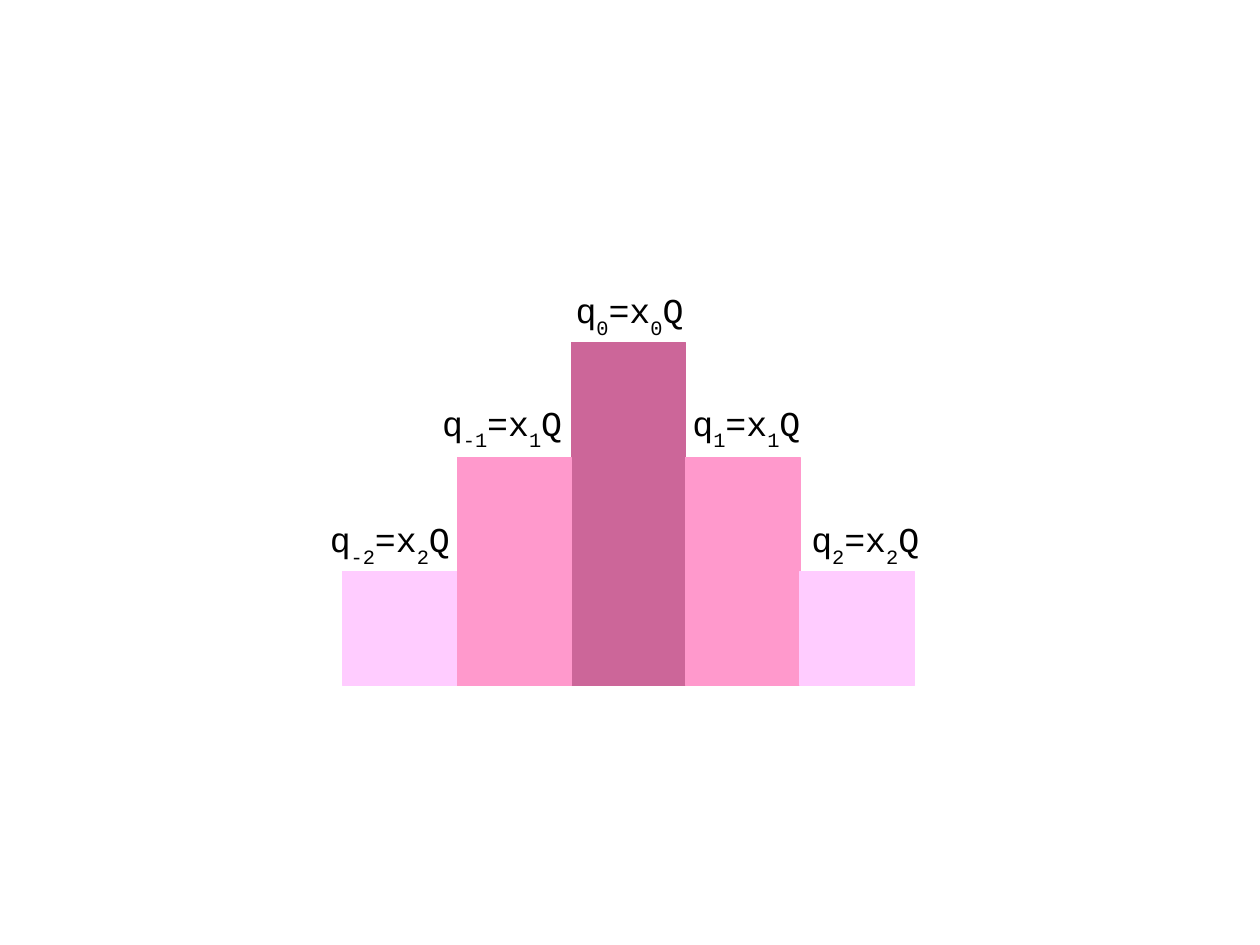
from dataclasses import dataclass

from pptx import Presentation
from pptx.dml.color import RGBColor
from pptx.enum.shapes import MSO_SHAPE
from pptx.enum.text import MSO_AUTO_SIZE
from pptx.slide import Slide
from pptx.util import Pt

UNIT = 72
CENTER_LEFT = 5 * UNIT
BASELINE = 6 * UNIT
COLORS = ["CC6699", "FF99CC", "FFCCFF"]


@dataclass
class Bar:
    """One bar of the symmetric distribution and the corner of its label."""

    index: int
    label_left: float
    label_top: float


BARS = [
    Bar(0, 355.5, 178.3),
    Bar(1, 429.1, 249.1),
    Bar(2, 504, 322.6),
    Bar(-2, 200.7, 322.6),
    Bar(-1, 271.4, 249.1),
]


def color(value: str) -> RGBColor:
    """Turn a hex string into a colour."""
    return RGBColor.from_string(value)


def draw_bar(page: Slide, bar: Bar) -> None:
    """Draw a bar whose height falls by one unit per step from the centre."""
    distance = abs(bar.index)
    height = (3 - distance) * UNIT
    box = page.shapes.add_shape(
        MSO_SHAPE.RECTANGLE,
        Pt(CENTER_LEFT + bar.index * UNIT),
        Pt(BASELINE - height),
        Pt(UNIT),
        Pt(height),
    )
    box.shadow.inherit = False
    box.fill.solid()
    box.fill.fore_color.rgb = color(COLORS[distance])
    box.line.color.rgb = color(COLORS[distance])
    box.line.width = Pt(0)


def draw_label(page: Slide, bar: Bar) -> None:
    """Write the formula of a bar with its subscripts."""
    box = page.shapes.add_textbox(
        Pt(bar.label_left), Pt(bar.label_top), Pt(93.6), Pt(37.4)
    )
    frame = box.text_frame
    frame.word_wrap = True
    frame.auto_size = MSO_AUTO_SIZE.SHAPE_TO_FIT_TEXT
    para = frame.paragraphs[0]
    parts = ["q", str(bar.index), "=x", str(abs(bar.index)), "Q"]
    for position, part in enumerate(parts):
        span = para.add_run()
        span.text = part
        span.font.name = "Courier New"
        span.font.size = Pt(22)
        span.font.color.rgb = color("000000")
        if position % 2:
            span._r.get_or_add_rPr().set("baseline", "-33000")


def main() -> None:
    """Build the slide and save it."""
    deck = Presentation()
    deck.slide_width = Pt(793.7)
    deck.slide_height = Pt(595.28)
    page = deck.slides.add_slide(deck.slide_layouts[6])
    for bar in BARS:
        draw_bar(page, bar)
    for bar in BARS:
        draw_label(page, bar)
    deck.save("out.pptx")


if __name__ == "__main__":
    main()
